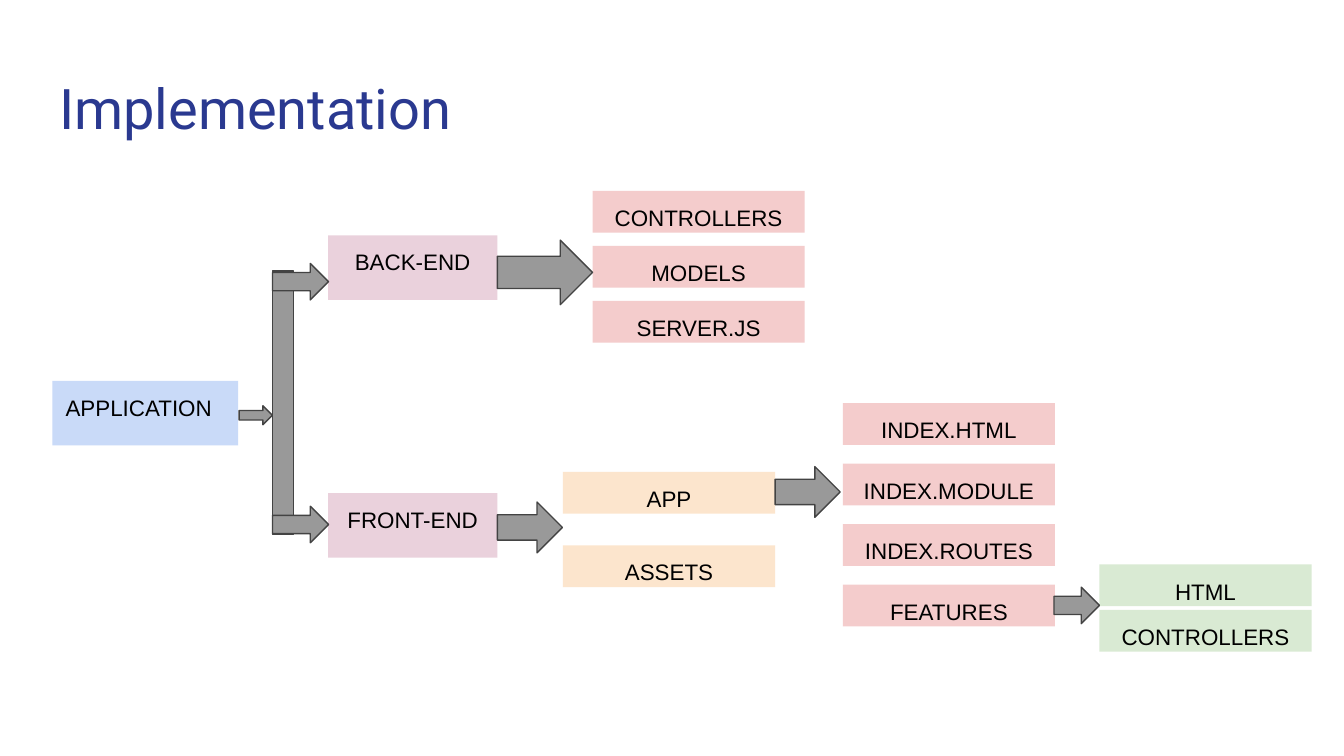
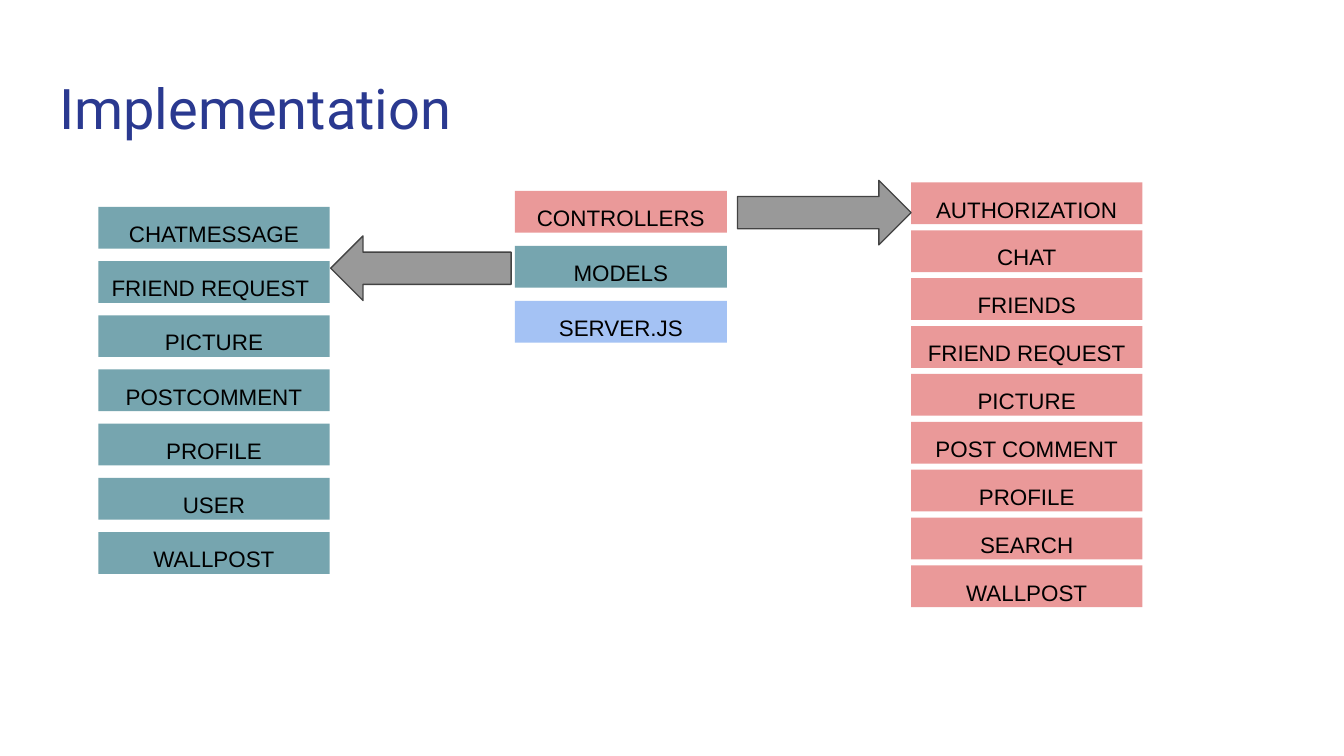
from pptx import Presentation
from pptx.dml.color import RGBColor
from pptx.enum.shapes import MSO_SHAPE as Shape
from pptx.enum.text import MSO_ANCHOR as Anchor, MSO_AUTO_SIZE as AutoSize, PP_ALIGN as Align
from pptx.util import Cm, Pt

NAVY, BLACK, GREY, DARK_GREY = "2A3990", "000000", "999999", "434343"
SKY, MAUVE, ROSE, PEACH, MINT = "C9DAF8", "EAD1DC", "F4CCCC", "FCE5CD", "D9EAD3"
CORAL, TEAL, BLUE = "EA9999", "76A5AF", "A4C2F4"

TALL, LOW = 1.22, 0.79
NORMAL, WIDE = 4.01, 4.37
BACK_END = ["CONTROLLERS", "MODELS", "SERVER.JS"]

# Columns: left, first top, last top, width, height, fills, labels, left-aligned labels
# Arrows: left, top, width, height, rotation
SLIDES = [
    {
        "title": "Implementation",
        "columns": [
            (0.99, 7.2, 7.2, 3.51, TALL, [SKY], ["APPLICATION"], ["APPLICATION"]),
            (6.2, 4.45, 9.32, 3.2, TALL, [MAUVE], ["BACK-END", "FRONT-END"], []),
            (11.2, 3.61, 5.69, NORMAL, LOW, [ROSE], BACK_END, []),
            (10.64, 8.92, 10.31, NORMAL, LOW, [PEACH], ["APP", "ASSETS"], []),
            (15.93, 7.62, 11.05, NORMAL, LOW, [ROSE],
             ["INDEX.HTML", "INDEX.MODULE", "INDEX.ROUTES", "FEATURES"], []),
            (20.78, 10.67, 11.53, NORMAL, LOW, [MINT], ["HTML", "CONTROLLERS"], []),
        ],
        "bars": [(5.15, 5.12, 0.4, 4.98)],
        "arrows": [
            (19.92, 11.1, 0.86, 0.69, 0),
            (9.4, 9.49, 1.23, 0.96, 0),
            (9.4, 4.54, 1.8, 1.22, 0),
            (14.65, 8.82, 1.23, 0.96, 0),
            (5.15, 4.98, 1.06, 0.69, 0),
            (5.15, 9.57, 1.06, 0.69, 0),
            (4.52, 7.67, 0.63, 0.36, 0),
        ],
    },
    {
        "title": "Implementation",
        "columns": [
            (9.73, 3.61, 5.69, NORMAL, LOW, [CORAL, TEAL, BLUE], BACK_END, []),
            (17.22, 3.45, 10.69, WIDE, LOW, [CORAL],
             ["AUTHORIZATION", "CHAT", "FRIENDS", "FRIEND REQUEST", "PICTURE",
              "POST COMMENT", "PROFILE", "SEARCH", "WALLPOST"], []),
            (1.86, 3.91, 10.06, WIDE, LOW, [TEAL],
             ["CHATMESSAGE", "FRIEND REQUEST", "PICTURE", "POSTCOMMENT",
              "PROFILE", "USER", "WALLPOST"], ["FRIEND REQUEST"]),
        ],
        "bars": [],
        "arrows": [(6.25, 4.46, 3.41, 1.22, 180), (13.94, 3.41, 3.28, 1.22, 0)],
    },
]


def rgb(color):
    return RGBColor.from_string(color)


def write(sp, text, font, size, color, align):
    tf = sp.text_frame
    tf.auto_size = AutoSize.NONE
    tf.word_wrap = True
    tf.vertical_anchor = Anchor.TOP
    tf.margin_left = tf.margin_right = tf.margin_top = tf.margin_bottom = Cm(0.25)
    p = tf.paragraphs[0]
    p.alignment = align
    r = p.add_run()
    r.text = text
    r.font.name = font
    r.font.size = Pt(size)
    r.font.color.rgb = rgb(color)


def add_shape(s, kind, box, fill, line=None):
    sp = s.shapes.add_shape(kind, *map(Cm, box))
    sp.shadow.inherit = False
    sp.fill.solid()
    sp.fill.fore_color.rgb = rgb(fill)
    if line:
        sp.line.color.rgb = rgb(line)
        sp.line.width = Pt(0.75)
    else:
        sp.line.fill.background()
    return sp


def add_column(s, left, first, last, width, height, fills, labels, left_aligned):
    pitch = (last - first) / max(len(labels) - 1, 1)
    for i, label in enumerate(labels):
        box = (left, first + i * pitch, width, height)
        sp = add_shape(s, Shape.RECTANGLE, box, fills[i % len(fills)])
        align = Align.LEFT if label in left_aligned else Align.CENTER
        write(sp, label, "Arial", 12, BLACK, align)


def add_slide(prs, content):
    s = prs.slides.add_slide(prs.slide_layouts[5])
    title = s.shapes.title
    title.left, title.top, title.width, title.height = map(Cm, (0.87, 1.14, 23.67, 1.68))
    write(title, content["title"], "Roboto", 30, NAVY, Align.LEFT)
    for column in content["columns"]:
        add_column(s, *column)
    for bar in content["bars"]:
        add_shape(s, Shape.RECTANGLE, bar, GREY, DARK_GREY)
    for *box, rotation in content["arrows"]:
        sp = add_shape(s, Shape.RIGHT_ARROW, box, GREY, DARK_GREY)
        sp.rotation = rotation


def main():
    prs = Presentation()
    prs.slide_width, prs.slide_height = Cm(25.4), Cm(14.29)
    for content in SLIDES:
        add_slide(prs, content)
    prs.save("out.pptx")


if __name__ == "__main__":
    main()
